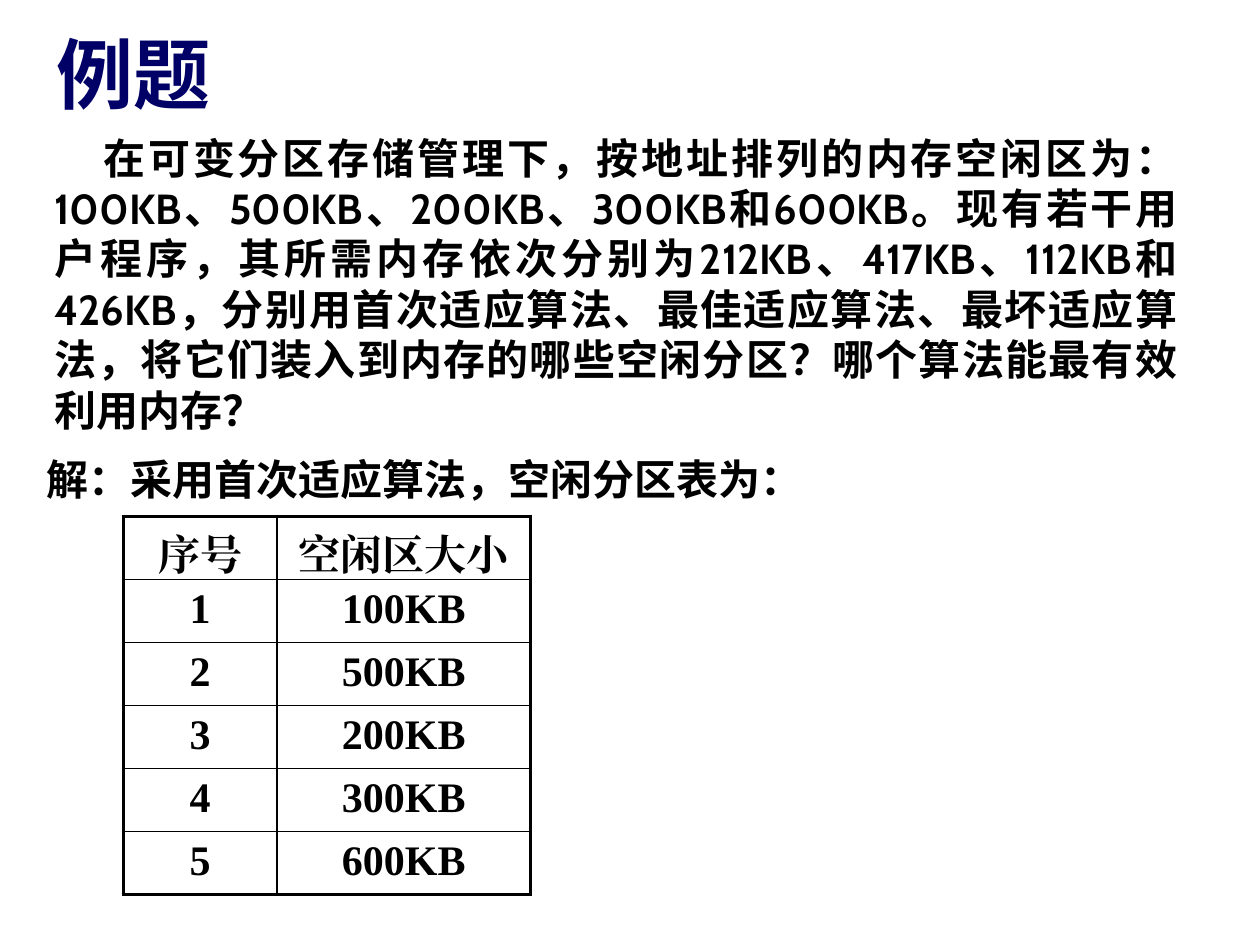
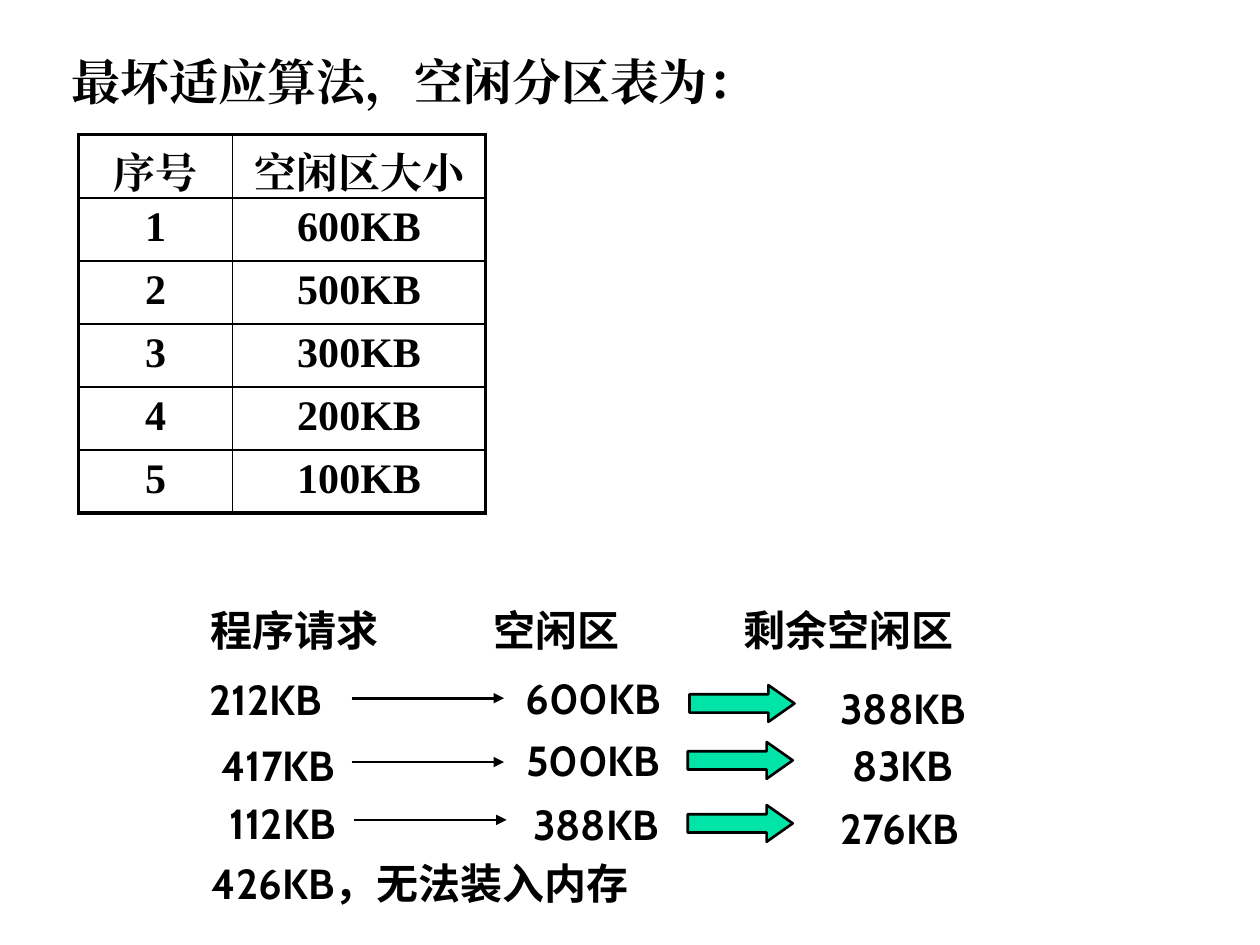
"""Build two slides on fitting programs into free memory partitions."""
from lxml import etree
from pptx import Presentation
from pptx.dml.color import RGBColor
from pptx.enum.shapes import MSO_CONNECTOR, MSO_SHAPE
from pptx.enum.text import MSO_ANCHOR, PP_ALIGN
from pptx.oxml.ns import qn
from pptx.util import Pt

LEFT, MID, JUST = PP_ALIGN.LEFT, PP_ALIGN.CENTER, PP_ALIGN.JUSTIFY
TOP, BASE = MSO_ANCHOR.TOP, MSO_ANCHOR.BOTTOM
LINE, ARROW = MSO_CONNECTOR.STRAIGHT, MSO_SHAPE.RIGHT_ARROW

INK = {"title": "000066", "text": "000000", "page": "FFFFFF", "arrow": "00E4A8"}
SANS, SERIF = "Cabin", "Times New Roman"
COLS, ROW = (87.84, 144.72), 36
THICK, THIN = 2.25, 1

TASK = (
    "在可变分区存储管理下，按地址排列的内存空闲区为：100KB、500KB、200KB、300KB和600KB。"
    "现有若干用户程序，其所需内存依次分别为212KB、417KB、112KB和426KB，"
    "分别用首次适应算法、最佳适应算法、最坏适应算法，将它们装入到内存的哪些空闲分区？"
    "哪个算法能最有效利用内存？"
)
STEPS = (
    (("212KB", 39, 39.5), ("600KB", 226, 39), ("388KB", 403, 44.5), (88, 57), (281, 49.5)),
    (("417KB", 46, 77), ("500KB", 226, 74), ("83KB", 403, 77), (88, 93.5), (280, 82)),
    (("112KB", 48.5, 110), ("388KB", 227.5, 111), ("276KB", 401, 113), (89.5, 126.5), (280, 118)),
)


def tint(name):
    return RGBColor.from_string(INK[name])


def add_run(para, text, size=24, face=SANS, ink="text"):
    run = para.add_run()
    run.text = text
    font = run.font
    font.size, font.bold, font.name = Pt(size), True, face
    font.color.rgb = tint(ink)
    etree.SubElement(run._r.get_or_add_rPr(), qn("a:ea"), typeface=face)


def add_text(slide, box, text, align=LEFT, anchor=TOP, indent=0, tabs=(), **style):
    frame = slide.shapes.add_textbox(*map(Pt, box)).text_frame
    frame.word_wrap, frame.vertical_anchor = True, anchor
    para = frame.paragraphs[0]
    para.alignment = align
    props = para._p.get_or_add_pPr()
    if indent:
        props.set("marL", "0")
        props.set("indent", str(Pt(indent)))
    if tabs:
        stops = etree.SubElement(props, qn("a:tabLst"))
        for stop in tabs:
            etree.SubElement(stops, qn("a:tab"), pos=str(Pt(stop)), algn="l")
    add_run(para, text, **style)


def add_edges(cell, widths):
    props = cell._tc.get_or_add_tcPr()
    for side, width in zip("LRTB", widths):
        edge = etree.SubElement(props, qn("a:ln" + side), w=str(Pt(width)))
        fill = etree.SubElement(edge, qn("a:solidFill"))
        etree.SubElement(fill, qn("a:srgbClr"), val=INK["text"])


def add_grid(slide, left, top, sizes):
    rows = [("序号", "空闲区大小")]
    rows += [(str(num), f"{size}KB") for num, size in enumerate(sizes, 1)]
    count, last = len(rows), len(COLS) - 1
    table = slide.shapes.add_table(
        count, len(COLS), Pt(left), Pt(top), Pt(sum(COLS)), Pt(ROW * count)
    ).table
    table.first_row = table.horz_banding = False
    for col, width in zip(table.columns, COLS):
        col.width = Pt(width)
    for r, row in enumerate(rows):
        table.rows[r].height = Pt(ROW)
        for c, text in enumerate(row):
            cell = table.cell(r, c)
            outer = (c == 0, c == last, r == 0, r == count - 1)
            add_edges(cell, [THICK if edge else THIN for edge in outer])
            cell.fill.background()
            para = cell.text_frame.paragraphs[0]
            para.alignment = MID
            if r == 0:
                cell.margin_top, cell.margin_bottom = Pt(9), Pt(0)
                para.line_spacing = Pt(27)
            add_run(para, text, face=SERIF)


def add_link(slide, left, top):
    link = slide.shapes.add_connector(LINE, Pt(left), Pt(top), Pt(left + 87), Pt(top))
    link.line.color.rgb, link.line.width = tint("text"), Pt(1.5)
    etree.SubElement(link.line._get_or_add_ln(), qn("a:tailEnd"), type="triangle")
    etree.SubElement(link._element.spPr, qn("a:effectLst"))


def add_arrow(slide, left, top):
    shape = slide.shapes.add_shape(ARROW, Pt(left), Pt(top), Pt(60), Pt(21))
    shape.adjustments[0], shape.adjustments[1] = 0.5, 0.71
    shape.shadow.inherit = False
    shape.fill.solid()
    shape.fill.fore_color.rgb = tint("arrow")
    shape.line.color.rgb, shape.line.width = tint("text"), Pt(1.5)


def add_flow(slide, left, top):
    add_text(slide, (left, top, 525, 36), "程序请求\t空闲区\t剩余空闲区", tabs=(162, 305))
    for *labels, link, arrow in STEPS:
        for text, mid, down in labels:
            add_text(slide, (left + mid - 54, top + down, 108, 36), text, MID)
        add_link(slide, left + link[0], top + link[1])
        add_arrow(slide, left + arrow[0], top + arrow[1])
    add_text(slide, (left + 1, top + 144.5, 313, 36), "426KB，无法装入内存")


def add_page(deck):
    slide = deck.slides.add_slide(deck.slide_layouts[6])
    slide.background.fill.solid()
    slide.background.fill.fore_color.rgb = tint("page")
    return slide


def add_task(deck):
    slide = add_page(deck)
    add_text(slide, (25, 16.5, 679, 55), "例题", anchor=BASE, size=44, ink="title")
    add_text(slide, (24, 72, 656, 180), TASK, JUST, indent=28)
    add_text(slide, (19.5, 255.5, 519, 36), "解：采用首次适应算法，空闲分区表为：")
    add_grid(slide, 70.5, 295, (100, 500, 200, 300, 600))


def add_worst(deck):
    slide = add_page(deck)
    add_text(slide, (34, 26, 581, 41), "最坏适应算法，空闲分区表为：", size=28, face=SERIF)
    add_grid(slide, 45, 77, (600, 500, 300, 200, 100))
    add_flow(slide, 113, 342)


def main():
    deck = Presentation()
    deck.slide_width, deck.slide_height = Pt(720), Pt(540)
    add_task(deck)
    add_worst(deck)
    deck.save("out.pptx")


if __name__ == "__main__":
    main()
